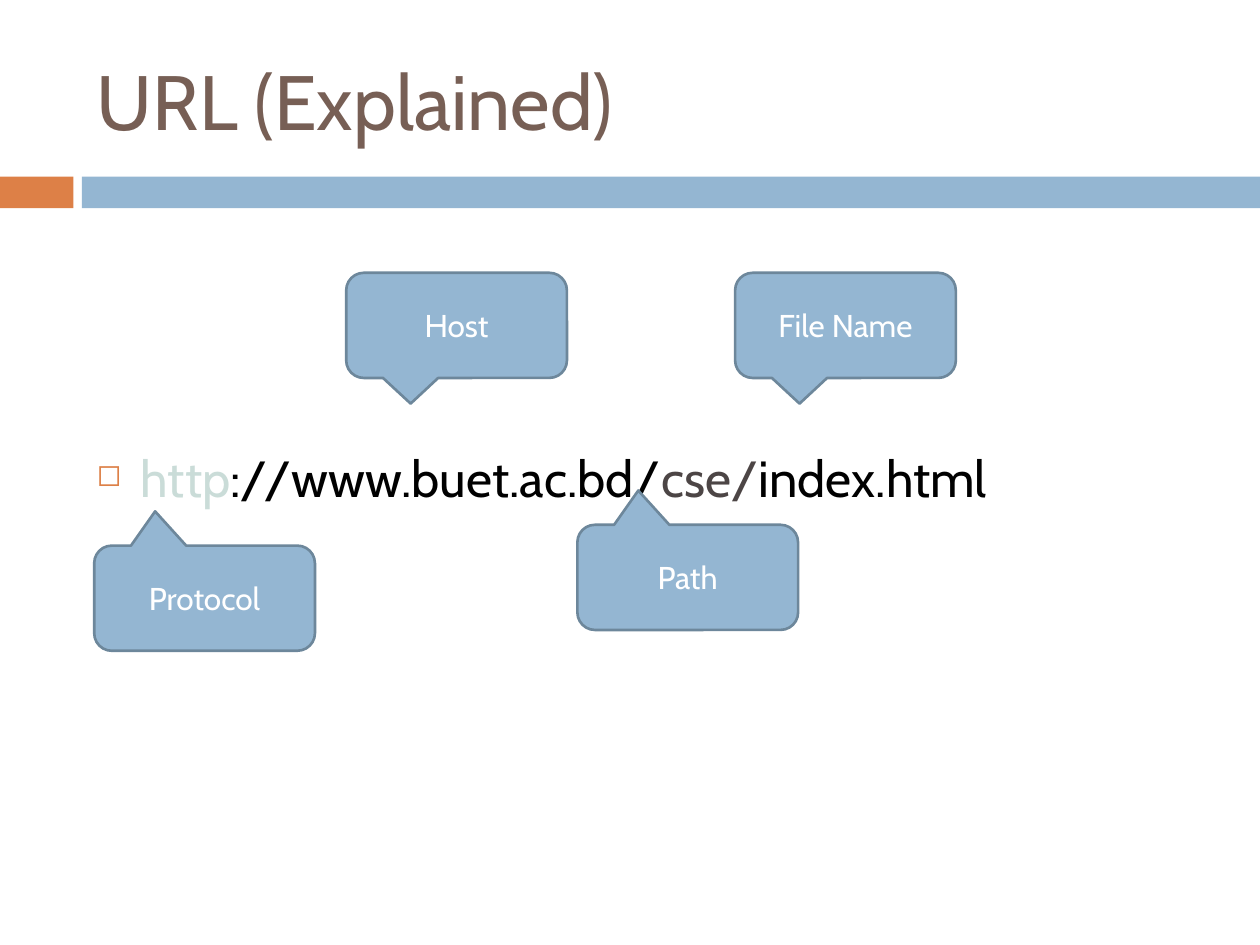
from lxml.etree import SubElement
from pptx import Presentation
from pptx.dml.color import RGBColor
from pptx.enum.shapes import MSO_SHAPE
from pptx.enum.text import MSO_ANCHOR, PP_ALIGN
from pptx.oxml.ns import qn
from pptx.util import Cm, Pt

FONT = "Cabin"
BROWN = RGBColor(0x77, 0x5F, 0x55)
ORANGE = RGBColor(0xDD, 0x80, 0x47)
BLUE = RGBColor(0x94, 0xB6, 0xD2)
DARK_BLUE = RGBColor(0x6D, 0x87, 0x9B)
PALE_GREEN = RGBColor(0xCA, 0xDC, 0xD8)
GREY = RGBColor(0x4C, 0x45, 0x45)
BLACK = RGBColor(0, 0, 0)
WHITE = RGBColor(255, 255, 255)

# Content: lengths in centimetres
TITLE = "URL (Explained)"
URL_PARTS = [
    ("http", PALE_GREEN),
    ("://www.buet.ac.bd/", BLACK),
    ("cse/", GREY),
    ("index.html", BLACK),
]
BANDS = [(0, 1.48, ORANGE), (1.65, 23.75, BLUE)]  # left, width, colour
POINT_UP = (-0.224, -0.826, 0.167)
POINT_DOWN = (-0.208, 0.744, 0.167)
CALLOUTS = [  # label, left, top, pointer
    ("Protocol", 1.9, 11, POINT_UP),
    ("Host", 6.98, 5.5, POINT_DOWN),
    ("Path", 11.64, 10.58, POINT_UP),
    ("File Name", 14.82, 5.5, POINT_DOWN),
]
CALLOUT_WIDTH, CALLOUT_HEIGHT = 4.45, 2.12
TEXT_LEFT, TEXT_WIDTH = 1.7, 22.66


def style_run(run, size, color):
    run.font.name = FONT
    run.font.size = Pt(size)
    run.font.color.rgb = color


def add_filled_shape(slide, kind, left, top, width, height, color):
    shape = slide.shapes.add_shape(kind, Cm(left), Cm(top), Cm(width), Cm(height))
    shape.shadow.inherit = False
    shape.fill.solid()
    shape.fill.fore_color.rgb = color
    shape.line.fill.background()
    return shape


def add_square_bullet(paragraph):
    properties = paragraph._p.get_or_add_pPr()
    properties.set("marL", str(Cm(0.89)))
    properties.set("indent", str(-Cm(0.89)))
    color = SubElement(properties, qn("a:buClr"))
    SubElement(color, qn("a:srgbClr"), val=str(ORANGE))
    SubElement(properties, qn("a:buSzPct"), val="60000")
    SubElement(properties, qn("a:buChar"), char="◻")


presentation = Presentation()
presentation.slide_width, presentation.slide_height = Cm(25.4), Cm(19.05)
slide = presentation.slides.add_slide(presentation.slide_layouts[5])

# Title
title = slide.shapes.title
title.left, title.top = Cm(TEXT_LEFT), Cm(0.64)
title.width, title.height = Cm(TEXT_WIDTH), Cm(2.74)
title.text_frame.text = TITLE
title.text_frame.vertical_anchor = MSO_ANCHOR.MIDDLE
title_paragraph = title.text_frame.paragraphs[0]
title_paragraph.alignment = PP_ALIGN.LEFT
style_run(title_paragraph.runs[0], 44, BROWN)

# Bands under the title
for left, width, color in BANDS:
    add_filled_shape(slide, MSO_SHAPE.RECTANGLE, left, 3.56, width, 0.64, color)

# Address with coloured parts
address = slide.shapes.add_textbox(Cm(TEXT_LEFT), Cm(8.87), Cm(TEXT_WIDTH), Cm(1.52))
address.text_frame.word_wrap = True
address.text_frame.vertical_anchor = MSO_ANCHOR.MIDDLE
address_paragraph = address.text_frame.paragraphs[0]
add_square_bullet(address_paragraph)
for text, color in URL_PARTS:
    run = address_paragraph.add_run()
    run.text = text
    style_run(run, 29, color)

# Callouts naming each part
for label, left, top, pointer in CALLOUTS:
    callout = add_filled_shape(slide, MSO_SHAPE.ROUNDED_RECTANGULAR_CALLOUT,
                               left, top, CALLOUT_WIDTH, CALLOUT_HEIGHT, BLUE)
    for index, value in enumerate(pointer):
        callout.adjustments[index] = value
    callout.line.color.rgb = DARK_BLUE
    callout.line.width = Pt(1.5)
    callout.text_frame.text = label
    callout.text_frame.vertical_anchor = MSO_ANCHOR.MIDDLE
    paragraph = callout.text_frame.paragraphs[0]
    paragraph.alignment = PP_ALIGN.CENTER
    style_run(paragraph.runs[0], 18, WHITE)

presentation.save("out.pptx")
